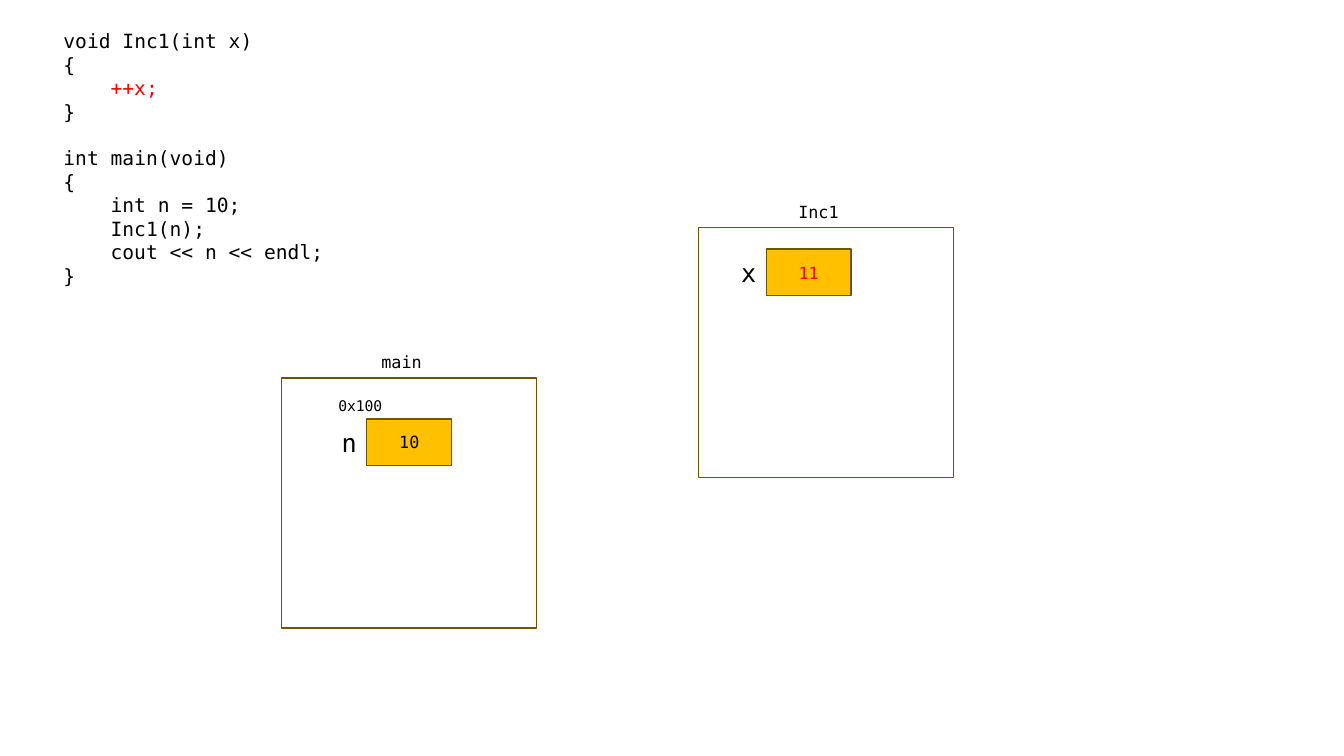
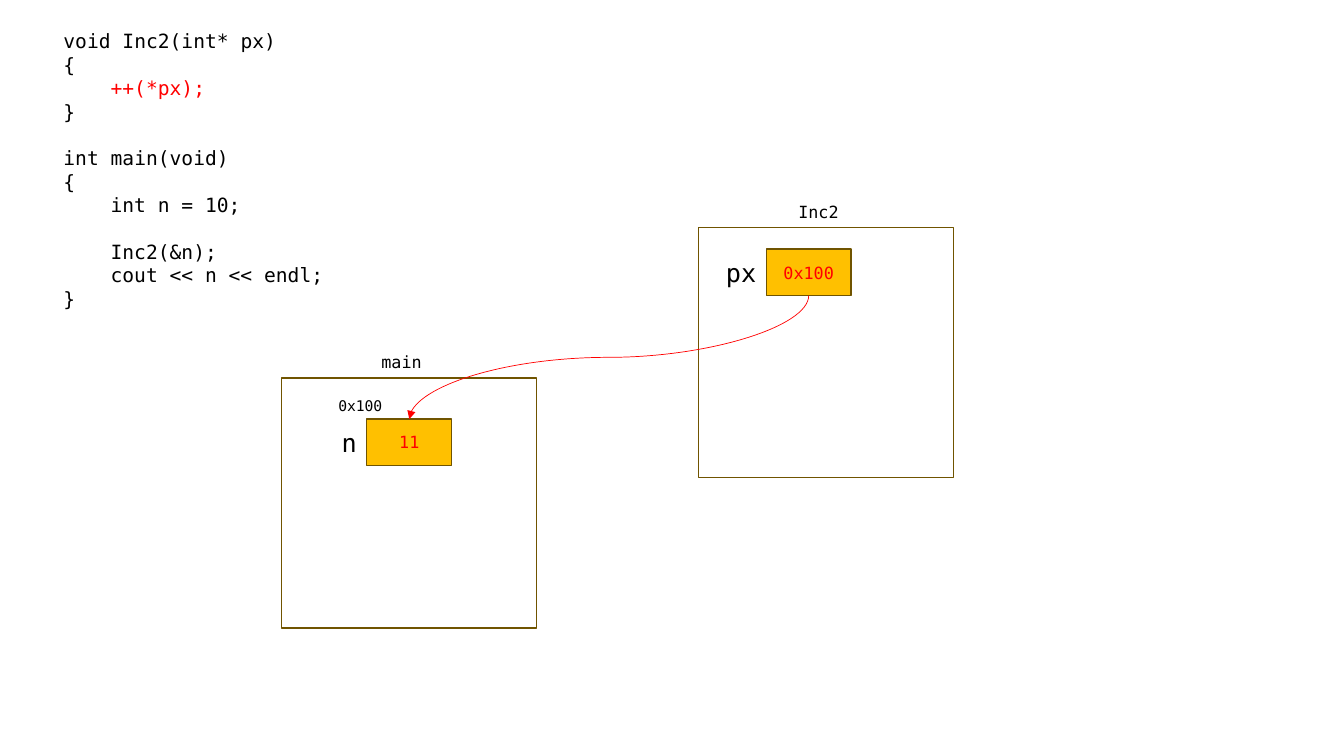
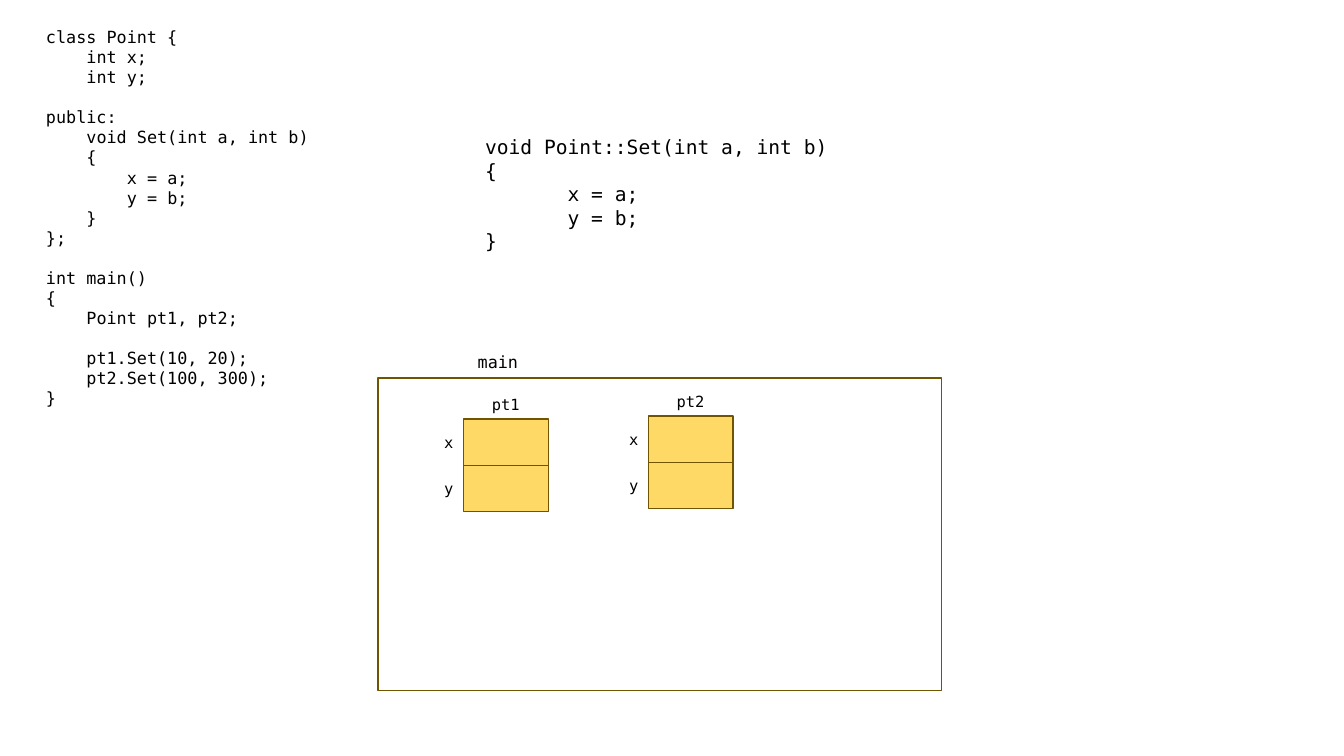
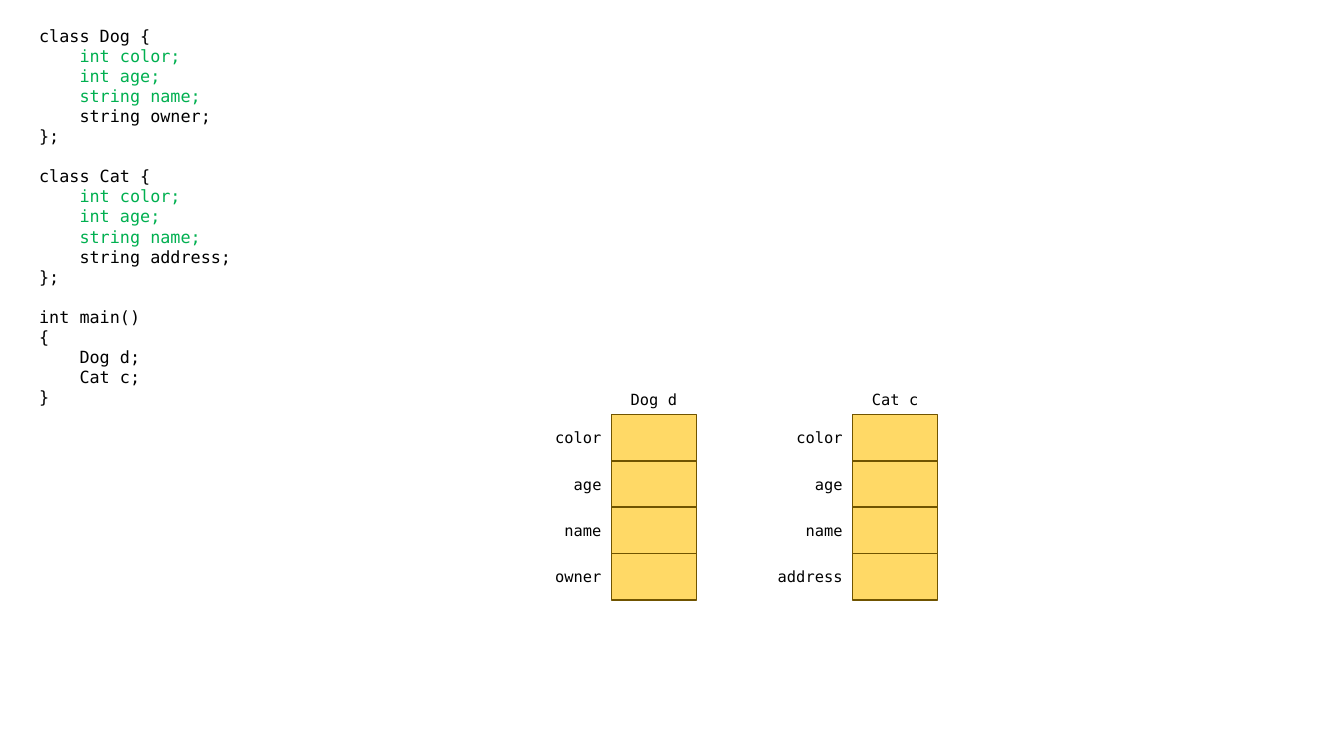
from dataclasses import dataclass

from lxml import etree
from pptx import Presentation
from pptx.dml.color import RGBColor
from pptx.enum.shapes import MSO_CONNECTOR, MSO_SHAPE
from pptx.enum.text import MSO_ANCHOR, PP_ALIGN
from pptx.oxml.ns import qn
from pptx.util import Pt


@dataclass(frozen=True)
class Theme:
    font: str = "DejaVu Sans Mono"
    char_width: float = 0.602
    line_height: float = 1.164
    ink: RGBColor = RGBColor(0x00, 0x00, 0x00)
    paper: RGBColor = RGBColor(0xFF, 0xFF, 0xFF)
    border: RGBColor = RGBColor(0x70, 0x54, 0x00)
    value: RGBColor = RGBColor(0xFF, 0xC0, 0x00)
    member: RGBColor = RGBColor(0xFF, 0xD9, 0x66)
    changed: RGBColor = RGBColor(0xFF, 0x00, 0x00)
    shared: RGBColor = RGBColor(0x00, 0xB0, 0x50)
    code: float = 14
    small_code: float = 12
    caption: float = 12
    variable: float = 18
    field: float = 11
    address: float = 10.5


THEME = Theme()
CELL_W, CELL_H = 60.7, 33.1

INC1 = """\
void Inc1(int x)
{
    ++x;
}

int main(void)
{
    int n = 10;
    Inc1(n);
    cout << n << endl;
}"""

INC2 = """\
void Inc2(int* px)
{
    ++(*px);
}

int main(void)
{
    int n = 10;

    Inc2(&n);
    cout << n << endl;
}"""

POINT = """\
class Point {
    int x;
    int y;

public:
    void Set(int a, int b)
    {
        x = a;
        y = b;
    }
};

int main()
{
    Point pt1, pt2;

    pt1.Set(10, 20);
    pt2.Set(100, 300);
}"""

POINT_SET = """\
void Point::Set(int a, int b)
{
       x = a;
       y = b;
}"""

PETS = """\
class Dog {
    int color;
    int age;
    string name;
    string owner;
};

class Cat {
    int color;
    int age;
    string name;
    string address;
};

int main()
{
    Dog d;
    Cat c;
}"""


def style(p, size, color=THEME.ink, align=PP_ALIGN.LEFT):
    p.alignment = align
    p.font.name = THEME.font
    p.font.size = Pt(size)
    p.font.color.rgb = color


def add_text_frame(s, x, y, w, h):
    tf = s.shapes.add_textbox(Pt(x), Pt(y), Pt(w), Pt(h)).text_frame
    tf.word_wrap = True
    return tf


def add_label(s, text, x, y, w, h, size, align=PP_ALIGN.CENTER, anchor=MSO_ANCHOR.TOP):
    tf = add_text_frame(s, x, y, w, h)
    tf.vertical_anchor = anchor
    p = tf.paragraphs[0]
    p.text = text
    style(p, size, align=align)


def add_code(s, source, x, y, w, size, marked=(), mark_color=THEME.changed):
    lines = source.split("\n")
    line_height = size * THEME.line_height
    tf = add_text_frame(s, x, y, w, len(lines) * line_height + 7.2)
    p, gap = None, 0
    for line in lines:
        text = line.lstrip()
        if not text:
            gap += line_height
            continue
        p = tf.add_paragraph() if p is not None else tf.paragraphs[0]
        p.text = text
        style(p, size, mark_color if text in marked else THEME.ink)
        p.space_before = Pt(gap)
        indent = (len(line) - len(text)) * size * THEME.char_width
        pPr = p._p.get_or_add_pPr()
        pPr.set("marL", str(Pt(indent)))
        pPr.set("indent", "0")
        gap = 0


def add_box(s, x, y, w, h, fill):
    sp = s.shapes.add_shape(MSO_SHAPE.RECTANGLE, Pt(x), Pt(y), Pt(w), Pt(h))
    sp.shadow.inherit = False
    sp.fill.solid()
    sp.fill.fore_color.rgb = fill
    sp.line.color.rgb = THEME.border
    sp.line.width = Pt(1)
    return sp


def add_frame(s, name, x, y, w=182.2, h=178.6):
    add_box(s, x, y, w, h, THEME.paper)
    add_label(s, name, x + 14, y - 22.3, 143.3, 21.6, THEME.caption)


def add_cell(s, name, x, y, fill, name_size):
    add_label(s, name, x - 75, y, 75, CELL_H, name_size, PP_ALIGN.RIGHT, MSO_ANCHOR.MIDDLE)
    return add_box(s, x, y, CELL_W, CELL_H, fill)


def add_variable(s, name, value, x, y, color=THEME.ink, address=None):
    sp = add_cell(s, name, x, y, THEME.value, THEME.variable)
    tf = sp.text_frame
    tf.vertical_anchor = MSO_ANCHOR.MIDDLE
    p = tf.paragraphs[0]
    p.text = value
    style(p, THEME.caption, color, PP_ALIGN.CENTER)
    if address:
        add_label(s, address, x - 27.4, y - 19.4, 60.5, 20.9, THEME.address, PP_ALIGN.LEFT)
    return sp


def add_object(s, name, fields, x, y):
    add_label(s, name, x - 5, y - 20.9, CELL_W + 10, 20.9, THEME.field)
    for i, field in enumerate(fields):
        add_cell(s, field, x, y + i * CELL_H, THEME.member, THEME.field)


def add_pointer(s, source, target):
    x1, y1 = source.left + source.width // 2, source.top + source.height
    x2, y2 = target.left + target.width // 2, target.top
    mid_x, mid_y = (x1 + x2) // 2, (y1 + y2) // 2
    half_run, half_drop = (x1 - x2) // 2, (y2 - y1) // 2
    line = s.shapes.add_connector(
        MSO_CONNECTOR.CURVE,
        mid_x - half_drop, mid_y - half_run, mid_x + half_drop, mid_y + half_run)
    line.line.color.rgb = THEME.changed
    line.line.width = Pt(0.5)
    spPr = line._element.spPr
    spPr.find(qn("a:xfrm")).set("rot", "5400000")
    etree.SubElement(spPr.find(qn("a:ln")), qn("a:tailEnd"), type="triangle")
    etree.SubElement(spPr, qn("a:effectLst"))


def add_call(s, source, marked, function, n, n_color, parameter, value):
    add_code(s, source, 38.2, 17.3, 480, THEME.code, [marked])
    add_frame(s, "main", 201.2, 270)
    n_cell = add_variable(s, "n", n, 262, 299.4, n_color, "0x100")
    add_frame(s, function, 499, 162.6)
    parameter_cell = add_variable(s, parameter, value, 547.3, 178, THEME.changed)
    return n_cell, parameter_cell


def main():
    prs = Presentation()
    prs.slide_width, prs.slide_height = Pt(960), Pt(540)
    by_value, by_pointer, point, pets = (
        prs.slides.add_slide(prs.slide_layouts[6]) for _ in range(4))

    add_call(by_value, INC1, "++x;", "Inc1", "10", THEME.ink, "x", "11")

    n_cell, px_cell = add_call(
        by_pointer, INC2, "++(*px);", "Inc2", "11", THEME.changed, "px", "0x100")
    add_pointer(by_pointer, px_cell, n_cell)

    add_code(point, POINT, 25.8, 15.6, 268.6, THEME.small_code)
    add_frame(point, "main", 270, 270, 402.5, 223.2)
    add_object(point, "pt1", ["x", "y"], 331, 299.4)
    add_object(point, "pt2", ["x", "y"], 463, 297.1)
    add_code(point, POINT_SET, 339.4, 92.9, 312.5, THEME.code)

    common = ["color", "age", "name"]
    add_code(pets, PETS, 20.9, 14.6, 268.6, THEME.small_code,
             ["int color;", "int age;", "string name;"], THEME.shared)
    add_object(pets, "Dog d", common + ["owner"], 436.8, 296.1)
    add_object(pets, "Cat c", common + ["address"], 609.1, 296.1)

    prs.save("out.pptx")


main()
